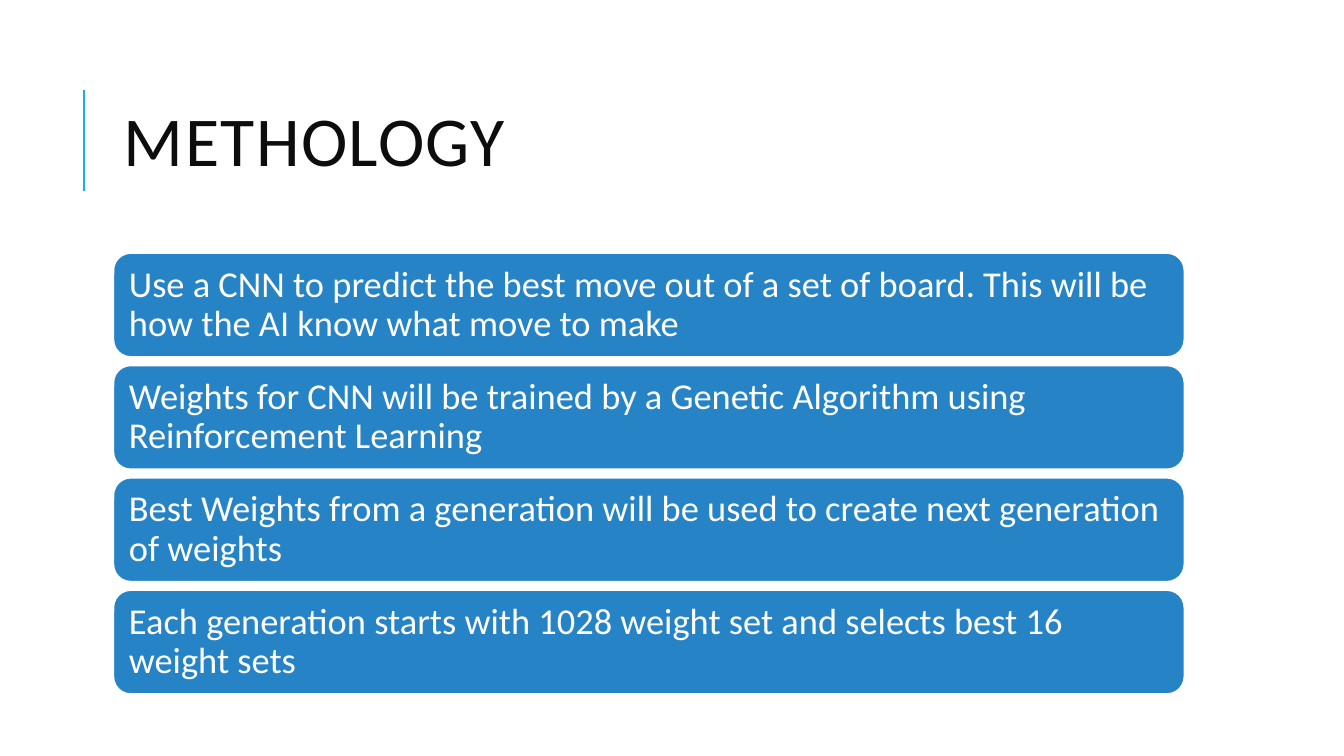
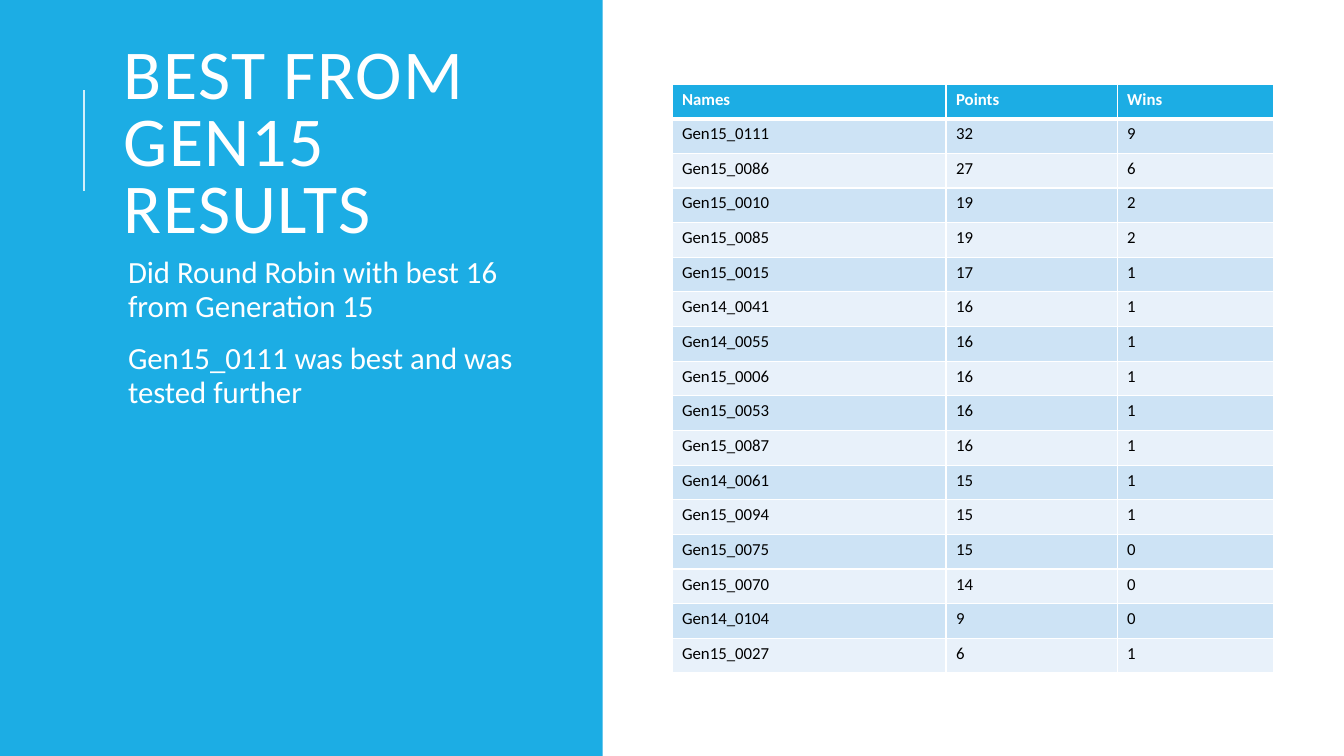
from lxml import etree
from pptx import Presentation
from pptx.dml.color import RGBColor
from pptx.enum.shapes import MSO_CONNECTOR, MSO_SHAPE
from pptx.enum.text import MSO_ANCHOR, MSO_AUTO_SIZE, PP_ALIGN
from pptx.oxml import parse_xml
from pptx.oxml.ns import nsdecls, qn
from pptx.util import Pt

PX = 9525
TITLE_ONLY = 5
LEFT = PP_ALIGN.LEFT
TOP, MIDDLE = MSO_ANCHOR.TOP, MSO_ANCHOR.MIDDLE
NO_AUTOFIT = MSO_AUTO_SIZE.NONE
STRAIGHT = MSO_CONNECTOR.STRAIGHT
RECTANGLE, ROUNDED = MSO_SHAPE.RECTANGLE, MSO_SHAPE.ROUNDED_RECTANGLE

COLORS = {
    "white": "FFFFFF",
    "black": "000000",
    "title": "0D0D0D",
    "accent": "1CADE4",
    "pale_accent": "D2EFFA",
    "card": "2683C6",
    "band_dark": "CDE3F5",
    "band_light": "E8F1FA",
}
RGB = {name: RGBColor.from_string(value) for name, value in COLORS.items()}


def write_text(frame, texts, color, margins, anchor, font, spacing):
    frame.word_wrap = True
    frame.auto_size = NO_AUTOFIT
    frame.vertical_anchor = anchor
    for side, margin in zip(("left", "top", "right", "bottom"), margins):
        setattr(frame, f"margin_{side}", margin * PX)
    for index, text in enumerate(texts):
        paragraph = frame.add_paragraph() if index else frame.paragraphs[0]
        paragraph.text = text
        paragraph.alignment = LEFT
        for name, value in spacing.items():
            if index or name != "space_before":
                setattr(paragraph, name, value)
        for name, value in {"name": "Calibri", **font}.items():
            setattr(paragraph.runs[0].font, name, value)
        paragraph.runs[0].font.color.rgb = RGB[color]


def add_heading(slide, text, width, text_color, rule_color):
    title = slide.shapes.title
    box = {"left": 108, "top": 61, "width": width, "height": 157}
    for name, value in box.items():
        setattr(title, name, value * PX)
    write_text(title.text_frame, [text], text_color, (10, 5, 10, 5), MIDDLE,
               {"size": Pt(50)}, {"line_spacing": 0.8})
    title.text_frame.paragraphs[0].runs[0].font._element.set("spc", "100")
    rule = slide.shapes.add_connector(STRAIGHT, 80 * PX, 182 * PX, 80 * PX, 86 * PX)
    rule.line.color.rgb = RGB[rule_color]
    rule.line.width = Pt(1.5)
    etree.SubElement(rule.element.spPr, qn("a:effectLst"))


presentation = Presentation()
presentation.slide_width = 1280 * PX
presentation.slide_height = 720 * PX
layout = presentation.slide_layouts[TITLE_ONLY]

slide = presentation.slides.add_slide(layout)
add_heading(slide, "METHOLOGY", 1020, "title", "accent")

steps = [
    "Use a CNN to predict the best move out of a set of board. "
    "This will be how the AI know what move to make",
    "Weights for CNN will be trained by a Genetic Algorithm using Reinforcement Learning",
    "Best Weights from a generation will be used to create next generation of weights",
    "Each generation starts with 1028 weight set and selects best 16 weight sets",
]
card_top, card_height, card_gap = 241, 99, 8
for index, step in enumerate(steps):
    top = card_top + index * (card_height + card_gap)
    card = slide.shapes.add_shape(ROUNDED, 108 * PX, top * PX, 1020 * PX, card_height * PX)
    card.shadow.inherit = False
    card.fill.solid()
    card.fill.fore_color.rgb = RGB["card"]
    card.line.color.rgb = RGB["white"]
    card.line.width = Pt(1.25)
    write_text(card.text_frame, [step], "white", (10, 10, 10, 10), MIDDLE,
               {"size": Pt(26)}, {"line_spacing": 0.9})

slide = presentation.slides.add_slide(layout)
panel = slide.shapes.add_shape(RECTANGLE, 0, 0, 574 * PX, 720 * PX)
panel.shadow.inherit = False
panel.fill.solid()
panel.fill.fore_color.rgb = RGB["accent"]
panel.line.fill.background()
slide.shapes.title.element.addprevious(panel.element)
add_heading(slide, "BEST FROM GEN15 RESULTS", 396, "white", "pale_accent")

findings = [
    "Did Round Robin with best 16 from Generation 15",
    "Gen15_0111 was best and was tested further",
]
body = slide.shapes.add_textbox(108 * PX, 240 * PX, 398 * PX, 413 * PX)
write_text(body.text_frame, findings, "white", (14, 5, 5, 5), TOP, {"size": Pt(22)},
           {"line_spacing": 0.9, "space_before": Pt(12), "space_after": Pt(2)})

results = [
    ("Names", "Points", "Wins"),
    ("Gen15_0111", 32, 9),
    ("Gen15_0086", 27, 6),
    ("Gen15_0010", 19, 2),
    ("Gen15_0085", 19, 2),
    ("Gen15_0015", 17, 1),
    ("Gen14_0041", 16, 1),
    ("Gen14_0055", 16, 1),
    ("Gen15_0006", 16, 1),
    ("Gen15_0053", 16, 1),
    ("Gen15_0087", 16, 1),
    ("Gen14_0061", 15, 1),
    ("Gen15_0094", 15, 1),
    ("Gen15_0075", 15, 0),
    ("Gen15_0070", 14, 0),
    ("Gen14_0104", 9, 0),
    ("Gen15_0027", 6, 1),
]
column_widths, row_height = (261, 163, 149), 33
table = slide.shapes.add_table(
    len(results), len(column_widths), 640 * PX, 80 * PX,
    sum(column_widths) * PX, len(results) * row_height * PX).table
for column, width in zip(table.columns, column_widths):
    column.width = width * PX
for row_index, values in enumerate(results):
    table.rows[row_index].height = row_height * PX
    header = row_index == 0
    band = "accent" if header else ("band_light", "band_dark")[row_index % 2]
    borders = {"lnL": 1, "lnR": 1, "lnT": 3 if row_index == 1 else 1, "lnB": 3 if header else 1}
    for column_index, value in enumerate(values):
        cell = table.cell(row_index, column_index)
        properties = cell._tc.get_or_add_tcPr()
        for tag, points in borders.items():
            properties.append(parse_xml(
                f'<a:{tag} {nsdecls("a")} w="{Pt(points)}"><a:solidFill>'
                f'<a:srgbClr val="{COLORS["white"]}"/></a:solidFill></a:{tag}>'))
        cell.fill.solid()
        cell.fill.fore_color.rgb = RGB[band]
        cell.text = str(value)
        font = cell.text_frame.paragraphs[0].runs[0].font
        for name, setting in {"name": "Calibri", "size": Pt(12), "bold": header}.items():
            setattr(font, name, setting)
        font.color.rgb = RGB["white" if header else "black"]

presentation.save("out.pptx")
